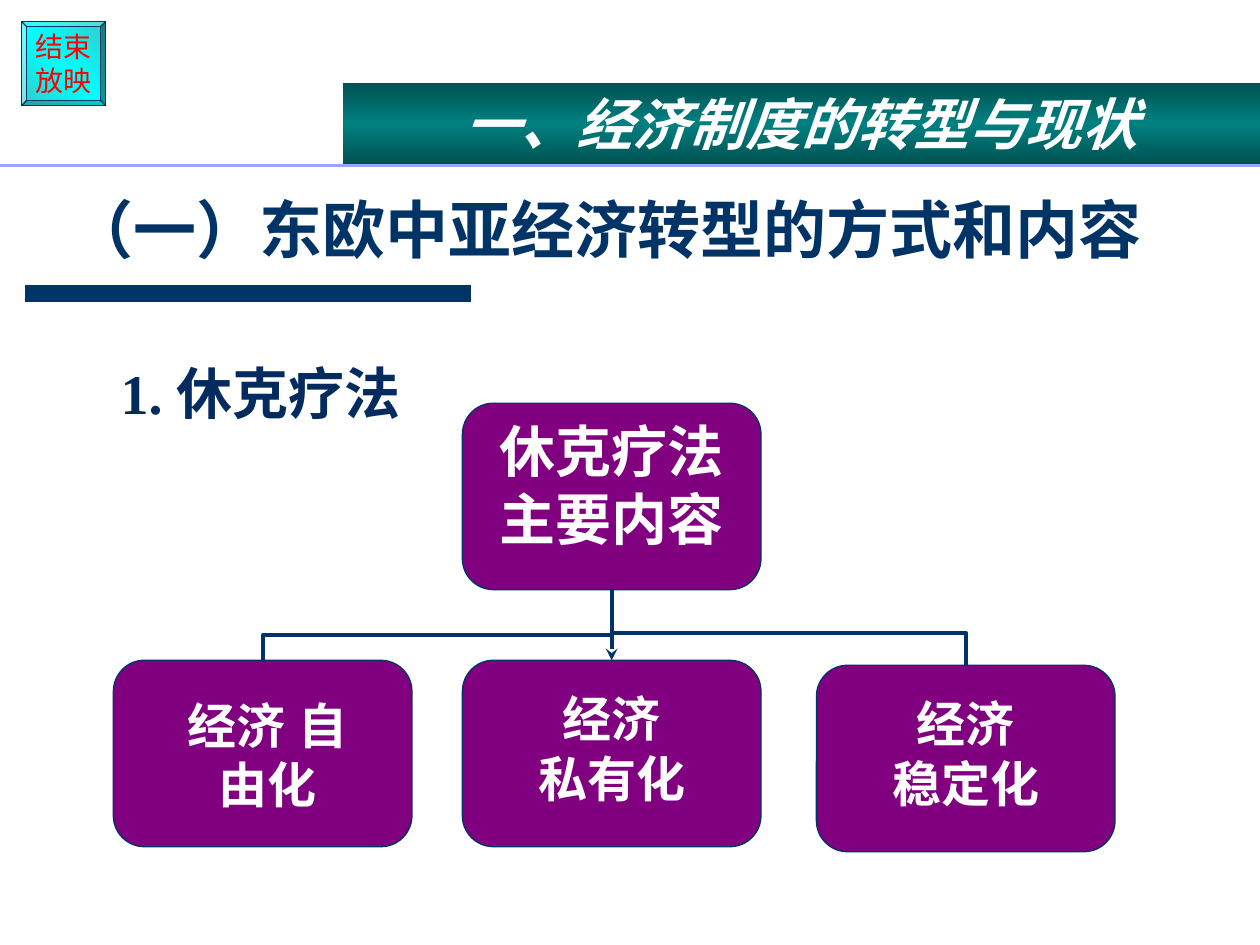
import pptx
import pptx.dml.color
import pptx.enum.shapes
import pptx.enum.text
import pptx.oxml
import pptx.oxml.ns
import pptx.util
from lxml import etree

Inches = pptx.util.Inches
Pt = pptx.util.Pt
RGB = pptx.dml.color.RGBColor
Shape = pptx.enum.shapes.MSO_SHAPE
Link = pptx.enum.shapes.MSO_CONNECTOR
Align = pptx.enum.text.PP_ALIGN
Anchor = pptx.enum.text.MSO_ANCHOR
qn = pptx.oxml.ns.qn

NAVY = RGB(0x00, 0x33, 0x66)
INK = RGB(0x03, 0x2B, 0x5E)
PURPLE = RGB(0x80, 0x00, 0x80)
WHITE = RGB(0xFF, 0xFF, 0xFF)
RED = RGB(0xFF, 0x00, 0x00)
LILAC = RGB(0x9B, 0xA4, 0xFD)
AQUA = RGB(0x33, 0xCC, 0xCC)
CYAN = RGB(0x00, 0xFF, 0xFF)
PINE = RGB(0x00, 0x51, 0x51)
TEAL = RGB(0x00, 0x80, 0x80)

CJK = "Noto Sans CJK SC"
BOX_W, BOX_H = 2.37, 1.48


def put_text(shape, lines, size=28, color=WHITE, font="Arial", bold=True,
             italic=False, align=Align.CENTER, anchor=Anchor.MIDDLE,
             wrap=True, inset=(0.1, 0.05, 0.1, 0.05), pitch=None, gap=0):
    """Fill a shape with lines; a line is a string or a list of (text, font)."""
    frame = shape.text_frame
    frame.word_wrap = wrap
    frame.vertical_anchor = anchor
    (frame.margin_left, frame.margin_top,
     frame.margin_right, frame.margin_bottom) = map(Inches, inset)
    for i, line in enumerate(lines):
        para = frame.add_paragraph() if i else frame.paragraphs[0]
        para.alignment = align
        if pitch:
            para.line_spacing = pitch
        if i and gap:
            para.space_before = Pt(gap)
        for text, face in [(line, font)] if isinstance(line, str) else line:
            run = para.add_run()
            run.text = text
            run.font.size = Pt(size)
            run.font.bold = bold
            run.font.italic = italic
            run.font.color.rgb = color
            run.font.name = face
            east = etree.SubElement(run.font._element, qn("a:ea"))
            east.set("typeface", face)


def add_form(slide, kind, left, top, width, height, fill=None, line=None):
    form = slide.shapes.add_shape(
        kind, Inches(left), Inches(top), Inches(width), Inches(height))
    form.shadow.inherit = False
    if fill:
        form.fill.solid()
        form.fill.fore_color.rgb = fill
    else:
        form.fill.background()
    if line:
        form.line.color.rgb = line
        form.line.width = Pt(0.75)
    else:
        form.line.fill.background()
    return form


def add_blend(form, edge, core, angle):
    """Blend from edge to core and back to edge."""
    form.fill.gradient()
    form.fill.gradient_angle = angle
    stops = form._element.spPr.find(qn("a:gradFill")).find(qn("a:gsLst"))
    for stop in list(stops):
        stops.remove(stop)
    for pos, color in ((0, edge), (50000, core), (100000, edge)):
        stop = etree.SubElement(stops, qn("a:gs"), pos=str(pos))
        etree.SubElement(stop, qn("a:srgbClr"), val=str(color))


def add_line(slide, start, end, color=NAVY, width=2.25, kind=Link.STRAIGHT):
    line = slide.shapes.add_connector(kind, *map(Inches, start + end))
    line.line.color.rgb = color
    line.line.width = Pt(width)
    etree.SubElement(line._element.spPr, qn("a:effectLst"))
    return line


def add_node(slide, left, top, lines=(), **style):
    node = add_form(slide, Shape.ROUNDED_RECTANGLE, left, top, BOX_W, BOX_H,
                    PURPLE, NAVY)
    put_text(node, lines, wrap=False, pitch=0.8, **style)
    return node


def join(slide, root, leaf, bend=None):
    """Link root's bottom to leaf's top, straight or bent at a share of the drop."""
    line = add_line(slide, (0, 0), (0, 0),
                    kind=Link.ELBOW if bend else Link.STRAIGHT)
    line.begin_connect(root, 2)
    line.end_connect(leaf, 0)
    if not bend:
        edge = line.line._get_or_add_ln()
        etree.SubElement(edge, qn("a:tailEnd"), type="stealth")
        return
    across = line.end_x - line.begin_x
    mid_x = (line.begin_x + line.end_x) // 2
    mid_y = (line.begin_y + line.end_y) // 2
    drop = line.end_y - line.begin_y
    # An elbow leaves sideways, so turn it a quarter to leave downwards.
    line.width, line.height = drop, abs(across)
    line.left, line.top = mid_x - drop // 2, mid_y - abs(across) // 2
    frame = line._element.spPr.find(qn("a:xfrm"))
    frame.set("rot", "16200000" if across > 0 else "5400000")
    frame.set("flipH", "1" if across > 0 else "0")
    guides = line._element.spPr.find(qn("a:prstGeom")).find(qn("a:avLst"))
    etree.SubElement(guides, qn("a:gd"), name="adj1",
                     fmla=f"val {round(bend * 100000)}")


def add_head(slide):
    add_line(slide, (0.2, 2.33), (3.74, 2.33), width=10)
    button = add_form(slide, Shape.BEVEL, 0.17, 0.17, 0.67, 0.67, line=NAVY)
    button.adjustments[0] = 0.06
    add_blend(button, AQUA, CYAN, 45)
    put_text(button, ["结束", "放映"], size=16, color=RED, bold=False, wrap=False)

    title = add_form(slide, Shape.ROUNDED_RECTANGLE, 0.38, 1, 9.74, 1.25)
    title.adjustments[0] = 0.22
    put_text(title, ["（一）东欧中亚经济转型的方式和内容"], size=36, color=NAVY,
             font=CJK, align=Align.LEFT, anchor=Anchor.BOTTOM, pitch=0.9)

    banner = add_form(slide, Shape.RECTANGLE, 2.72, 0.66, 7.28, 0.64)
    add_blend(banner, PINE, TEAL, 90)
    put_text(banner, ["一、经济制度的转型与现状"], size=32, font=CJK, italic=True)
    add_line(slide, (0, 1.31), (10, 1.31), LILAC, 1.75)


def add_box(slide, left, top, width, height, lines, **style):
    box = slide.shapes.add_textbox(*map(Inches, (left, top, width, height)))
    put_text(box, lines, anchor=Anchor.TOP, **style)


def add_tree(slide):
    flat = (0, 0, 0, 0)
    root = add_node(slide, 3.67, 3.2, ["休克疗法", "主要内容"], size=32,
                    gap=8, inset=(0, 0, 0, 0.1))
    free = add_node(slide, 0.9, 5.24)
    owned = add_node(slide, 3.67, 5.24, ["经济", "私有化"], gap=7, inset=flat)
    stable = add_node(slide, 6.48, 5.28, ["经济", "稳定化"], gap=7, inset=flat)
    join(slide, root, free, 0.65)
    join(slide, root, owned)
    join(slide, root, stable, 0.57)
    add_box(slide, 1.3, 5.47, 1.65, 1.04, ["经济 自由化"])


def main():
    deck = pptx.Presentation()
    deck.slide_width, deck.slide_height = Inches(10), Inches(7.5)
    slide = deck.slides.add_slide(deck.slide_layouts[6])
    add_head(slide)
    add_box(slide, 0.86, 2.8, 2.53, 0.64,
            [[("1. ", "Times New Roman"), ("休克疗法", "Arial")]],
            size=32, color=INK, align=Align.LEFT, wrap=False)
    add_tree(slide)
    deck.save("out.pptx")


if __name__ == "__main__":
    main()
